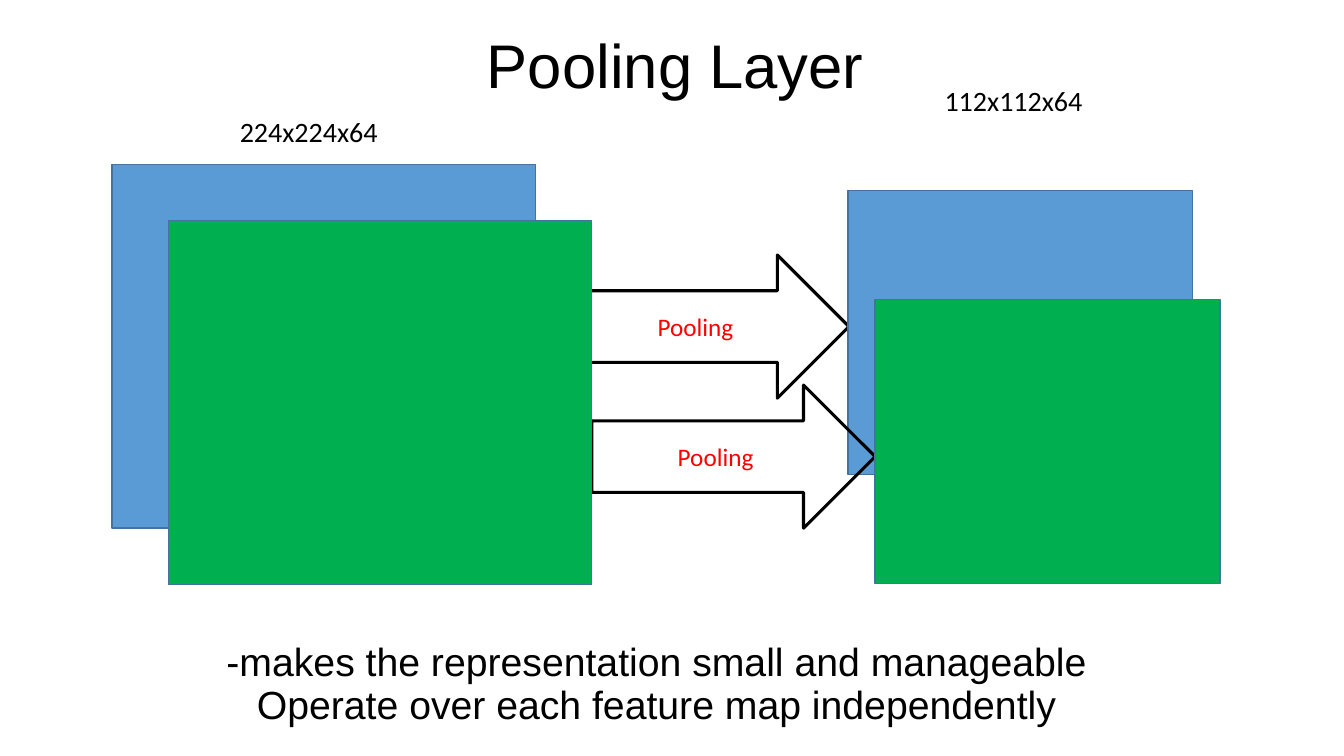
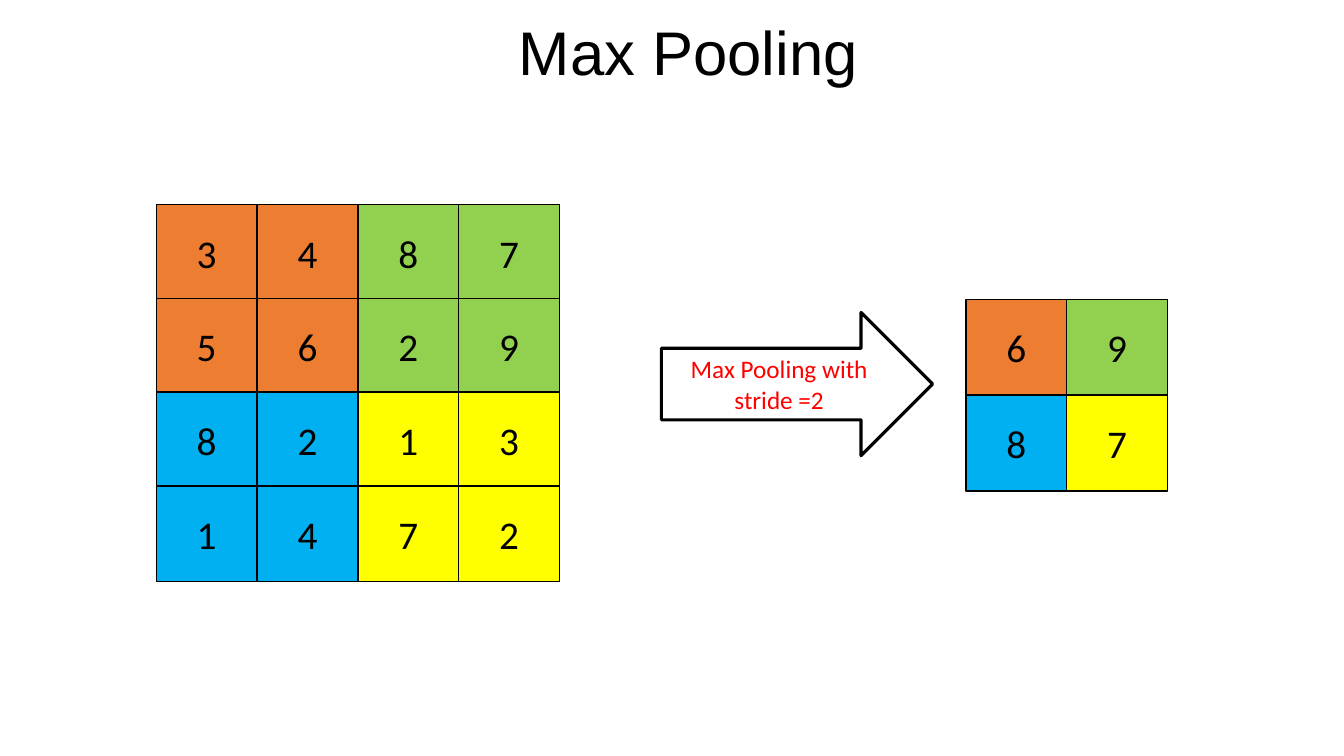
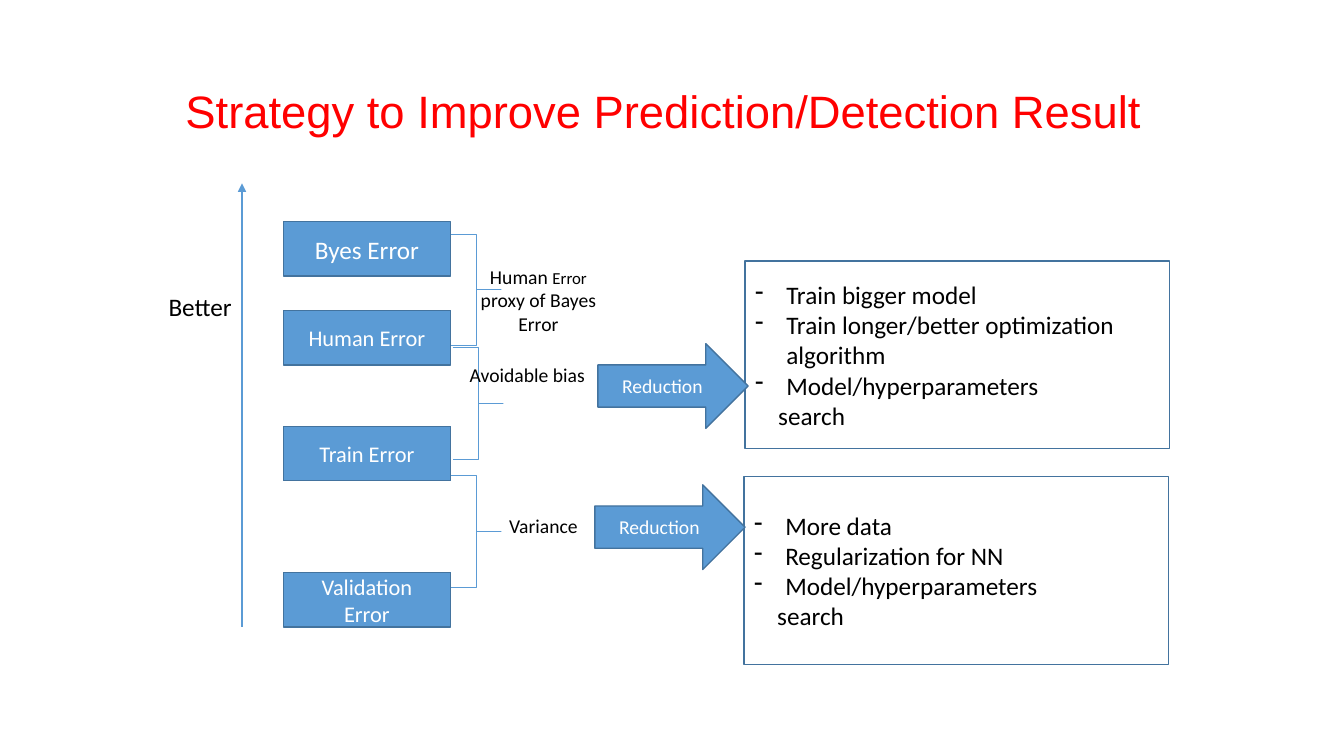
from lxml.etree import SubElement
from pptx import Presentation
from pptx.dml.color import RGBColor
from pptx.enum.shapes import MSO_CONNECTOR, MSO_SHAPE
from pptx.enum.text import MSO_ANCHOR, PP_ALIGN
from pptx.oxml.ns import qn
from pptx.util import Inches, Pt

COLORS = {
    "black": "000000", "white": "FFFFFF", "red": "FF0000",
    "blue": "5B9BD5", "outline": "43739E", "green": "00B050",
    "orange": "ED7D31", "lime": "92D050", "cyan": "00B0F0", "yellow": "FFFF00",
}
QUADRANTS = [["orange", "lime"], ["cyan", "yellow"]]


def rgb(name):
    return RGBColor.from_string(COLORS[name])


# Text
def write_text(shape, lines, size=18, color="black", font="Calibri",
               align=PP_ALIGN.CENTER, anchor=MSO_ANCHOR.MIDDLE,
               spacing=None, bullets=0, indent=0):
    """Fill a shape; a line is a string or a list of (text, size) runs.

    The first `bullets` lines get a dash, the others the given left indent.
    """
    frame = shape.text_frame
    frame.word_wrap = True
    frame.vertical_anchor = anchor
    for index, line in enumerate([lines] if isinstance(lines, str) else lines):
        paragraph = frame.add_paragraph() if index else frame.paragraphs[0]
        properties = paragraph._p.get_or_add_pPr()
        if index < bullets:
            properties.set("marL", str(Inches(0.31)))
            properties.set("indent", str(-Inches(0.31)))
            SubElement(properties, qn("a:buChar"), char="-")
        elif indent:
            properties.set("marL", str(Inches(indent)))
        paragraph.alignment = align
        if spacing:
            paragraph.line_spacing = spacing
        for text, run_size in [(line, size)] if isinstance(line, str) else line:
            run = paragraph.add_run()
            run.text = text
            run.font.size = Pt(run_size)
            run.font.name = font
            run.font.color.rgb = rgb(color)


def add_text(slide, box, lines, **text_format):
    shape = slide.shapes.add_textbox(*map(Inches, box))
    write_text(shape, lines, **text_format)


def add_heading(slide, box, lines, size=44, color="black"):
    add_text(slide, box, lines, size=size, color=color, font="Arial", spacing=0.9)


# Shapes
def add_box(slide, box, lines=None, kind=MSO_SHAPE.RECTANGLE, fill=None,
            line="outline", line_width=1, **text_format):
    shape = slide.shapes.add_shape(kind, *map(Inches, box))
    shape.shadow.inherit = False
    if fill:
        shape.fill.solid()
        shape.fill.fore_color.rgb = rgb(fill)
    else:
        shape.fill.background()
    if line:
        shape.line.color.rgb = rgb(line)
        shape.line.width = Pt(line_width)
    else:
        shape.line.fill.background()
    if lines:
        write_text(shape, lines, **text_format)
    return shape


def add_pooling_arrow(slide, left, top, width, text):
    add_box(slide, (left, top, width, 1.42), text, MSO_SHAPE.RIGHT_ARROW,
            line="black", line_width=2.25, color="red")


def add_reduction_arrow(slide, left, top):
    add_box(slide, (left, top, 1.49, 0.84), "Reduction", MSO_SHAPE.RIGHT_ARROW,
            fill="blue", size=14, color="white")


def add_process(slide, box, lines, **options):
    add_box(slide, box, lines, MSO_SHAPE.FLOWCHART_PROCESS, **options)


def add_brace(slide, left, top):
    brace = add_box(slide, (left, top, 0.5, 1.11), kind=MSO_SHAPE.LEFT_BRACE,
                    line="blue", line_width=0.5)
    brace.adjustments[0] = 0
    brace.adjustments[1] = 0.5
    brace.rotation = 180


def add_up_arrow(slide, x, bottom, top):
    connector = slide.shapes.add_connector(
        MSO_CONNECTOR.STRAIGHT, *map(Inches, (x, bottom, x, top)))
    connector.line.color.rgb = rgb("blue")
    connector.line.width = Pt(1.25)
    SubElement(connector.line._get_or_add_ln(), qn("a:tailEnd"), type="triangle")
    SubElement(connector._element.spPr, qn("a:effectLst"))


def add_number_grid(slide, left, top, values, row_pitch):
    half = len(values) // 2
    for row, numbers in enumerate(values):
        for column, number in enumerate(numbers):
            add_box(slide, (left + column, top + row * row_pitch, 1, 0.95),
                    str(number), fill=QUADRANTS[row // half][column // half],
                    line="black", size=28)


# Slides
def build_pooling_layer(slide):
    add_heading(slide, (1.11, 6.27, 10.8, 1.06),
                ["-makes the representation small and manageable",
                 "Operate over each feature map independently"], size=28)
    add_heading(slide, (1.3, 0.22, 10.8, 0.92), "Pooling Layer")
    for left, top, text in [(2.28, 1.09, "224x224x64"), (9.27, 0.78, "112x112x64")]:
        add_text(slide, (left, top, 1.67, 0.44), text, size=20,
                 align=PP_ALIGN.LEFT, anchor=MSO_ANCHOR.TOP)

    # Back feature maps, then front ones, each pair after its arrow
    add_pooling_arrow(slide, 5.73, 2.53, 2.69, "Pooling")
    add_box(slide, (1.11, 1.63, 4.2, 3.61), fill="blue")
    add_box(slide, (8.41, 1.89, 3.42, 2.82), fill="blue")
    add_pooling_arrow(slide, 5.87, 3.82, 2.81, "Pooling")
    add_box(slide, (1.67, 2.19, 4.2, 3.61), fill="green")
    add_box(slide, (8.68, 2.97, 3.42, 2.82), fill="green")


def build_max_pooling(slide):
    add_heading(slide, (1.43, 0.09, 10.8, 0.92), "Max Pooling")
    values = [[3, 4, 8, 7], [5, 6, 2, 9], [8, 2, 1, 3], [1, 4, 7, 2]]
    pooled = [[max(values[row][column:column + 2] + values[row + 1][column:column + 2])
               for column in (0, 2)] for row in (0, 2)]
    add_number_grid(slide, 1.55, 2.03, values, row_pitch=0.93)
    add_number_grid(slide, 9.58, 2.97, pooled, row_pitch=0.95)
    add_pooling_arrow(slide, 6.56, 3.1, 2.69, "Max Pooling with stride =2")


def build_strategy(slide):
    add_heading(slide, (1.58, 0.64, 10, 0.97),
                "Strategy to Improve Prediction/Detection Result",
                size=32.4, color="red")

    # Scale and error levels
    add_up_arrow(slide, 2.4, 6.22, 1.82)
    add_process(slide, (1.32, 2.71, 1.33, 0.65), "Better", line=None)
    for top, lines, size in [(2.2, "Byes Error", 18), (3.08, "Human Error", 16),
                             (4.23, "Train Error", 16),
                             (5.68, ["Validation", "Error"], 16)]:
        add_process(slide, (2.81, top, 1.66, 0.54), lines, fill="blue",
                    size=size, color="white")

    # Gaps between levels
    for left, top in [(4.47, 2.32), (4.49, 3.45), (4.47, 4.72)]:
        add_brace(slide, left, top)
    human_error = [[("Human ", 14), ("Error", 12)], "proxy of Bayes Error"]
    for left, top, lines in [(4.55, 2.62, human_error),
                             (4.44, 3.36, "Avoidable bias"),
                             (4.6, 4.86, "Variance")]:
        add_process(slide, (left, top, 1.58, 0.71), lines, line=None, size=14)

    # Remedies
    shared = ["Model/hyperparameters", "search"]
    for left, top, remedies in [
            (7.39, 2.59, ["Train bigger model",
                          "Train longer/better optimization algorithm"]),
            (7.38, 4.73, ["More data", "Regularization for NN"])]:
        add_process(slide, (left, top, 4.21, 1.86), remedies + shared, fill="white",
                    align=PP_ALIGN.LEFT, bullets=3, indent=0.23)
    add_reduction_arrow(slide, 5.9, 4.81)
    add_reduction_arrow(slide, 5.93, 3.41)


def main():
    presentation = Presentation()
    presentation.slide_width = Inches(13.33)
    presentation.slide_height = Inches(7.5)
    for build in (build_pooling_layer, build_max_pooling, build_strategy):
        build(presentation.slides.add_slide(presentation.slide_layouts[6]))
    presentation.save("out.pptx")


if __name__ == "__main__":
    main()
